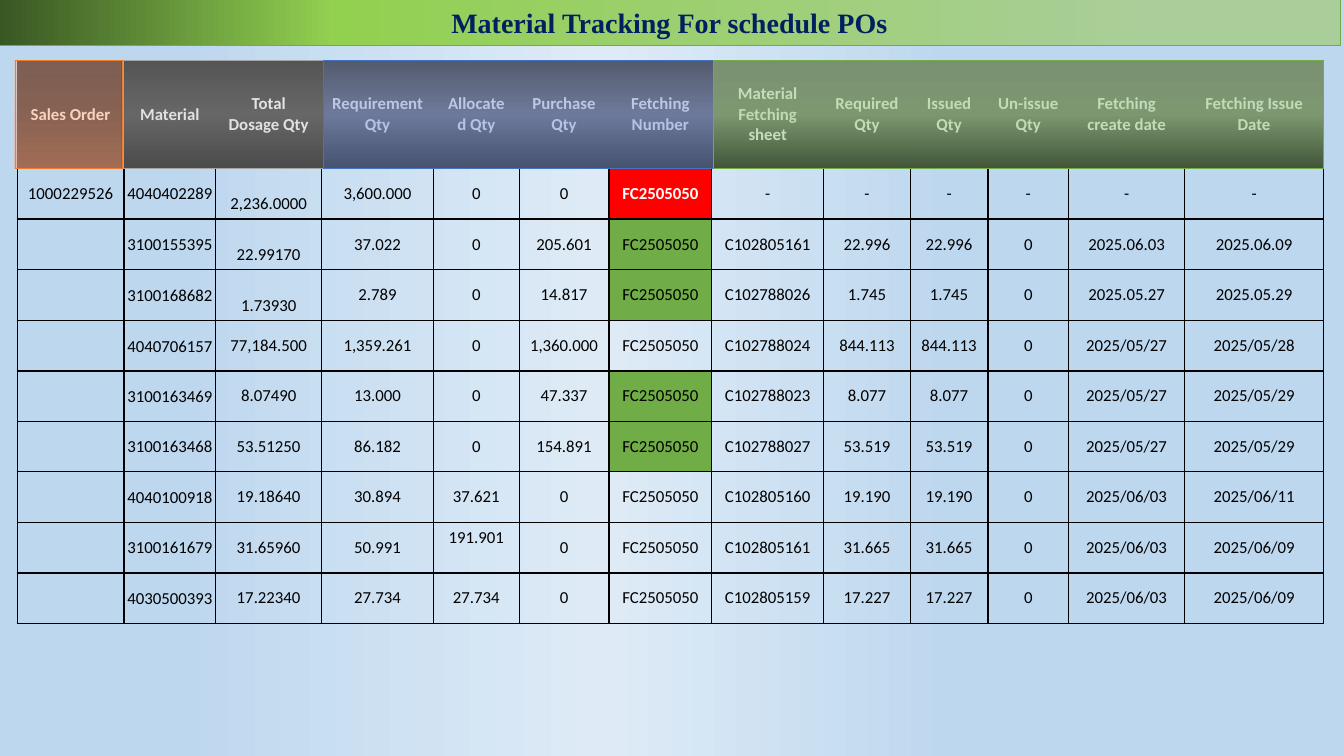
from lxml import etree
from pptx import Presentation
from pptx.dml.color import RGBColor
from pptx.enum import shapes, text
from pptx.oxml.ns import qn
from pptx.util import Inches, Pt

WIDTHS = [1.06, 0.91, 1.05, 1.11, 0.85, 0.89, 1.02, 1.11, 0.86, 0.77, 0.8, 1.15, 1.38]
HEAD_H, ROW_H = 1.07, 0.5
LEFT, TOP = 0.17, 0.6
MATERIAL, DOSAGE, ALLOCATED, FETCHING = 1, 2, 4, 6

HEADS = [
    "Sales Order", "Material", "Total Dosage Qty", "Requirement\nQty", "Allocated Qty",
    "Purchase Qty", "Fetching Number", "Material Fetching sheet", "Required Qty",
    "Issued Qty", "Un-issue Qty", "Fetching create date", "Fetching Issue Date",
]
ORDER = "1000229526"
LINES = [
    "4040402289 2,236.0000 3,600.000 0 0 FC2505050 - - - - - -",
    "3100155395 22.99170 37.022 0 205.601 FC2505050 C102805161 22.996 22.996 0 2025.06.03 2025.06.09",
    "3100168682 1.73930 2.789 0 14.817 FC2505050 C102788026 1.745 1.745 0 2025.05.27 2025.05.29",
    "4040706157 77,184.500 1,359.261 0 1,360.000 FC2505050 C102788024 844.113 844.113 0 2025/05/27 2025/05/28",
    "3100163469 8.07490 13.000 0 47.337 FC2505050 C102788023 8.077 8.077 0 2025/05/27 2025/05/29",
    "3100163468 53.51250 86.182 0 154.891 FC2505050 C102788027 53.519 53.519 0 2025/05/27 2025/05/29",
    "4040100918 19.18640 30.894 37.621 0 FC2505050 C102805160 19.190 19.190 0 2025/06/03 2025/06/11",
    "3100161679 31.65960 50.991 191.901 0 FC2505050 C102805161 31.665 31.665 0 2025/06/03 2025/06/09",
    "4030500393 17.22340 27.734 27.734 0 FC2505050 C102805159 17.227 17.227 0 2025/06/03 2025/06/09",
]

STATUS = {1: "FF0000", 2: "70AD47", 3: "70AD47", 5: "70AD47", 6: "70AD47"}
LOWERED = [(row, DOSAGE) for row in (1, 2, 3)]
RAISED = [(8, ALLOCATED)]

# left, width, line colour, gradient stops (position, colour, opacity)
BANDS = [
    (1.22, 1.99, "A5A5A5", [(0, "D2D2D2", 40), (50, "C8C8C8", 52), (100, "C0C0C0", 39)]),
    (3.21, 3.87, "4472C4", [(0, "A8B7DF", 49), (50, "9AABD9", 72), (100, "889ED7", 52)]),
    (7.08, 6.05, "70AD47", [(0, "B5D5A7", 68), (50, "AACE9A", 74), (100, "9CC987", 42)]),
    (0.15, 1.06, "ED7D31", [(0, "F7BDA5", 50), (50, "F5B196", 56), (100, "F8A582", 66)]),
]


def color(code):
    return RGBColor.from_string(code)


def assign(obj, values):
    for name, value in values.items():
        setattr(obj, name, value)


def style(frame, size, face, code, bold):
    for para in frame.paragraphs:
        para.alignment = text.PP_ALIGN.CENTER
        assign(para.font, {"size": Pt(size), "name": face, "bold": bold})
        para.font.color.rgb = color(code)


def blend(fill, owner, stops, angle):
    """Give the fill of owner a linear gradient, angle counter-clockwise."""
    fill.gradient()
    fill.gradient_angle = angle
    group = next(owner.iter(qn("a:gsLst")))
    for old in list(group):
        group.remove(old)
    for place, code, alpha in stops:
        stop = etree.SubElement(group, qn("a:gs"), pos=str(place * 1000))
        tint = etree.SubElement(stop, qn("a:srgbClr"), val=code)
        if alpha < 100:
            etree.SubElement(tint, qn("a:alpha"), val=str(alpha * 1000))


def outline(shape, code):
    shape.line.color.rgb = color(code)
    shape.line.width = Pt(0.5)


def border(cell):
    props = cell._tc.get_or_add_tcPr()
    for side in ("lnL", "lnR", "lnT", "lnB"):
        edge = etree.SubElement(props, qn("a:" + side), w=str(Pt(1)))
        solid = etree.SubElement(edge, qn("a:solidFill"))
        etree.SubElement(solid, qn("a:srgbClr"), val="000000")


def margins(row, col):
    if row and col == MATERIAL:
        sides = {"left": 0.01, "top": 0.01, "right": 0.01, "bottom": 0}
    elif (row, col) in LOWERED:
        sides = {"top": 0.25}
    elif (row, col) in RAISED:
        sides = {"bottom": 0.25}
    else:
        sides = {}
    return {"margin_" + side: Inches(size) for side, size in sides.items()}


def fill_cell(cell, words, row, col):
    shade = STATUS.get(row) if col == FETCHING else None
    if row == 0:
        shade = "000000"
    light = shade in ("000000", "FF0000")
    cell.text = words
    cell.vertical_anchor = text.MSO_ANCHOR.MIDDLE
    assign(cell, margins(row, col))
    style(cell.text_frame, 12, "Calibri", "FFFFFF" if light else "000000", light)
    border(cell)
    if shade:
        cell.fill.solid()
        cell.fill.fore_color.rgb = color(shade)
    else:
        cell.fill.background()


def add_grid(slide):
    rows = [HEADS] + [[""] + line.split() for line in LINES]
    rows[1][0] = ORDER
    high = HEAD_H + ROW_H * len(LINES)
    frame = slide.shapes.add_table(len(rows), len(HEADS), Inches(LEFT), Inches(TOP),
                                   Inches(sum(WIDTHS)), Inches(high))
    grid = frame.table
    assign(grid, {"first_row": True, "horz_banding": False})
    for col, wide in zip(grid.columns, WIDTHS):
        col.width = Inches(wide)
    for r, values in enumerate(rows):
        grid.rows[r].height = Inches(ROW_H if r else HEAD_H)
        for c, words in enumerate(values):
            fill_cell(grid.cell(r, c), words, r, c)


def add_band(slide, left, wide, line, stops):
    band = slide.shapes.add_shape(shapes.MSO_SHAPE.RECTANGLE, Inches(left), Inches(TOP),
                                  Inches(wide), Inches(HEAD_H))
    band.shadow.inherit = False
    blend(band.fill, band.element, stops, 270)
    outline(band, line)


def set_title(slide, words):
    title = slide.shapes.title
    assign(title, {"left": Inches(-0.01), "top": Inches(-0.01),
                   "width": Inches(13.3), "height": Inches(0.46)})
    blend(title.fill, title.element,
          [(13, "AACE9A", 100), (75, "92D050", 100), (100, "385723", 100)], 180)
    outline(title, "70AD47")
    frame = title.text_frame
    frame.text = words
    assign(frame, {"vertical_anchor": text.MSO_ANCHOR.MIDDLE, "word_wrap": True,
                   "auto_size": text.MSO_AUTO_SIZE.NONE})
    style(frame, 20, "Times New Roman", "002060", True)


def main():
    deck = Presentation()
    assign(deck, {"slide_width": Inches(13.33), "slide_height": Inches(7.5)})
    slide = deck.slides.add_slide(deck.slide_layouts[5])
    blend(slide.background.fill, slide.element,
          [(29, "BDD7EE", 100), (55, "DEEBF7", 100), (87, "BDD7EE", 100)], 180)
    add_grid(slide)
    for band in BANDS:
        add_band(slide, *band)
    set_title(slide, "Material Tracking For schedule POs")
    deck.save("out.pptx")


if __name__ == "__main__":
    main()
